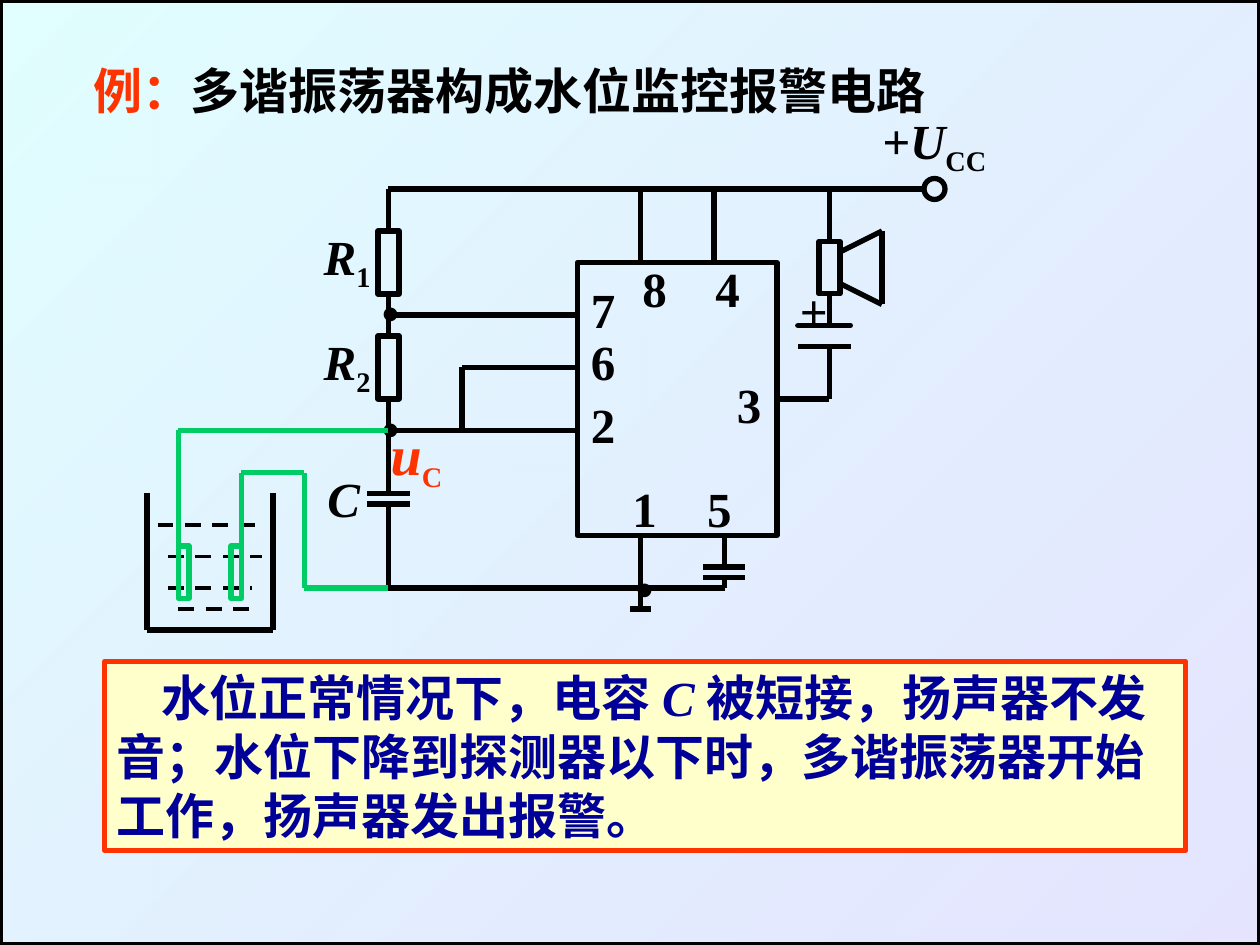
from lxml.etree import SubElement
from pptx import Presentation
from pptx.dml.color import RGBColor
from pptx.enum.dml import MSO_LINE
from pptx.enum.shapes import MSO_CONNECTOR, MSO_SHAPE
from pptx.enum.text import MSO_ANCHOR, PP_ALIGN
from pptx.oxml import parse_xml
from pptx.oxml.ns import qn
from pptx.util import Inches, Pt

BLACK, GREEN, RED, NAVY, CREAM = "000000", "00CC66", "FF3300", "000099", "FFFFCC"
FONT = "Times New Roman"
GRID = 12  # circuit coordinates count twelfths of an inch

# Content: runs are (text, colour, style); style "i" italic, "s" subscript
TITLE = [("例：", RED, ""), ("多谐振荡器构成水位监控报警电路", BLACK, "")]
EXPLANATION = [
    ("水位正常情况下，电容", NAVY, ""),
    ("C", NAVY, "i"),
    ("被短接，扬声器不发音；水位下降到探测器以下时，多谐振荡器开始工作，扬声器发出报警。", NAVY, ""),
]

# Labels: left, top, width, height in inches, then runs
PINS = {"4": (5.58, 2), "8": (5, 2), "7": (4.59, 2.17), "6": (4.59, 2.58),
        "2": (4.59, 3.08), "1": (4.92, 3.75), "3": (5.75, 2.92), "5": (5.5, 3.75)}
PIN_WIDTHS = {"4": 0.33, "5": 0.42}
LABELS = [
    (6.75, 0.83, 1.33, 0.63, [("+U", BLACK, "i"), ("CC", BLACK, "s")]),
    (2.42, 1.75, 0.67, 0.63, [("R", BLACK, "i"), ("1", BLACK, "s")]),
    (2.42, 2.58, 0.67, 0.63, [("R", BLACK, "i"), ("2", BLACK, "s")]),
    (2.5, 3.67, 0.42, 0.57, [("C", BLACK, "i")]),
    (6.21, 2.18, 0.5, 0.57, [("+", BLACK, "")]),
]
NODES = [(4.94, 4.02, 0.33), (2.92, 2.75, 0.36), (2.92, 1.83, 0.36)]

# Components: left, top, width, height on the grid
COMPONENTS = {
    "timer": (55, 25, 19, 26),
    "R1": (36, 22, 2, 6),
    "R2": (36, 32, 2, 6),
    "speaker coil": (78, 23, 2, 5),
    "positive plate": (76, 31, 5, 0),
}
PROBES = [(17, 52, 1, 5), (22, 52, 1, 5)]
SUPPLY_TERMINAL = (88, 17, 2, 2)

# Wires: from x, y to x, y on the grid
BLACK_WIRES = [
    (37, 18, 88, 18), (61, 25, 61, 18), (68, 25, 68, 18),      # supply
    (37, 22, 37, 18), (37, 32, 37, 28), (37, 47, 37, 38),      # R1, R2
    (35, 47, 39, 47), (35, 48, 39, 48), (37, 56, 37, 48),      # C
    (37, 30, 55, 30), (44, 41, 44, 35), (44, 35, 55, 35),      # pins 7, 6
    (37, 41, 55, 41), (74, 38, 79, 38),                        # pins 2, 3
    (69, 54, 69, 51), (67, 54, 71, 54), (67, 55, 71, 55), (69, 56, 69, 55),  # pin 5
    (60, 58, 62, 58), (61, 58, 61, 51), (37, 56, 69, 56),      # ground
    (14, 60, 26, 60), (14, 47, 14, 60), (26, 47, 26, 60),      # tank
    (76, 33, 81, 33), (79, 28, 79, 31), (79, 18, 79, 23), (79, 33, 79, 38),
    (80, 27, 84, 29), (80, 24, 84, 22), (84, 22, 84, 29),      # speaker cone
]
WATER_LINES = [(15, 50, 25, 50), (16, 53, 25, 53), (16, 56, 24, 56), (17, 58, 24, 58)]
PROBE_WIRES = [
    (17, 53, 17, 41), (17, 41, 37, 41), (23, 53, 23, 45),
    (23, 45, 29, 45), (29, 56, 29, 45), (29, 56, 37, 56),
]


def color(hex_value):
    return RGBColor.from_string(hex_value)


def grid(values):
    return [Inches(v / GRID) for v in values]


def add_box(kind, place, line, fill=None):
    box = slide.shapes.add_shape(kind, *place)
    box.shadow.inherit = False
    box.line.color.rgb = color(line)
    box.line.width = Pt(3)
    if fill:
        box.fill.solid()
        box.fill.fore_color.rgb = color(fill)
    else:
        box.fill.background()
    return box


def write(frame, runs, size=28, align=PP_ALIGN.CENTER, wrap=True):
    frame.word_wrap = wrap
    frame.vertical_anchor = MSO_ANCHOR.TOP
    paragraph = frame.paragraphs[0]
    paragraph.alignment = align
    paragraph.space_before = Pt(0)
    for text, hex_value, style in runs:
        run = paragraph.add_run()
        run.text = text
        run.font.name, run.font.size, run.font.bold = FONT, Pt(size), True
        run.font.italic = style == "i"
        run.font.color.rgb = color(hex_value)
        if style == "s":
            run.font.size = Pt(28)
            run.font._element.set("baseline", "-25000")
    return paragraph


def add_label(left, top, width, height, runs, size=28):
    label = slide.shapes.add_textbox(*map(Inches, (left, top, width, height)))
    write(label.text_frame, runs, size, wrap=False)


def side_at(x, y):
    """Component and side whose middle lies at a grid point."""
    for name, (left, top, width, height) in COMPONENTS.items():
        middles = [(left + width / 2, top), (left, top + height / 2),
                   (left + width / 2, top + height), (left + width, top + height / 2)]
        if height and (x, y) in middles:
            return parts[name], middles.index((x, y))
    return None


def add_wire(ends, line=BLACK, width=3, dashed=False):
    wire = slide.shapes.add_connector(MSO_CONNECTOR.STRAIGHT, *grid(ends))
    wire.line.color.rgb = color(line)
    wire.line.width = Pt(width)
    if dashed:
        wire.line.dash_style = MSO_LINE.DASH
    SubElement(wire.element.spPr, qn("a:effectLst"))
    for point, connect in ((ends[:2], wire.begin_connect), (ends[2:], wire.end_connect)):
        joint = side_at(*point)
        if joint:
            connect(*joint)


deck = Presentation()
deck.slide_width, deck.slide_height = Inches(10), Inches(7.5)
slide = deck.slides.add_slide(deck.slide_layouts[5])

# Title
title = slide.shapes.title
title.left, title.top, title.width, title.height = map(Inches, (0.08, 0.43, 7.92, 0.57))
write(title.text_frame, TITLE)

# Gradient backdrop, behind the title
backdrop = add_box(MSO_SHAPE.RECTANGLE, (0, 0, deck.slide_width, deck.slide_height), BLACK)
stops = "".join(
    f'<a:gs pos="{pos}"><a:srgbClr val="{tint}"><a:alpha val="{alpha}"/></a:srgbClr></a:gs>'
    for pos, tint, alpha in ((0, "CCFFFF", 59000), (100000, "CCCCFF", 51000)))
gradient = parse_xml(
    '<a:gradFill xmlns:a="http://schemas.openxmlformats.org/drawingml/2006/main" rotWithShape="1">'
    f'<a:gsLst>{stops}</a:gsLst><a:lin ang="2700000" scaled="1"/></a:gradFill>')
properties = backdrop.element.spPr
properties.replace(properties.find(qn("a:noFill")), gradient)
title.element.addprevious(backdrop.element)

# Circuit
for left, top, width in NODES:
    add_label(left, top, width, 0.9, [(".", BLACK, "")], 48)
parts = {name: add_box(MSO_SHAPE.RECTANGLE, grid(place), BLACK)
         for name, place in COMPONENTS.items()}
add_box(MSO_SHAPE.OVAL, grid(SUPPLY_TERMINAL), BLACK)
for ends in BLACK_WIRES:
    add_wire(ends)
for ends in WATER_LINES:
    add_wire(ends, width=2.25, dashed=True)
for place in PROBES:
    add_box(MSO_SHAPE.RECTANGLE, grid(place), GREEN)
for ends in PROBE_WIRES:
    add_wire(ends, GREEN)

# Labels
for pin, (left, top) in PINS.items():
    add_label(left, top, PIN_WIDTHS.get(pin, 0.39), 0.57, [(pin, BLACK, "")])
for label in LABELS:
    add_label(*label)
add_label(3, 3.28, 0.61, 0.69, [("u", RED, "i"), ("C", RED, "s")], 32)

# Explanation
explanation = add_box(MSO_SHAPE.RECTANGLE, map(Inches, (0.83, 5.25, 8.58, 1.5)), RED, CREAM)
paragraph = write(explanation.text_frame, EXPLANATION, align=PP_ALIGN.LEFT)
paragraph._element.get_or_add_pPr().set("indent", str(Inches(0.35)))

deck.save("out.pptx")
